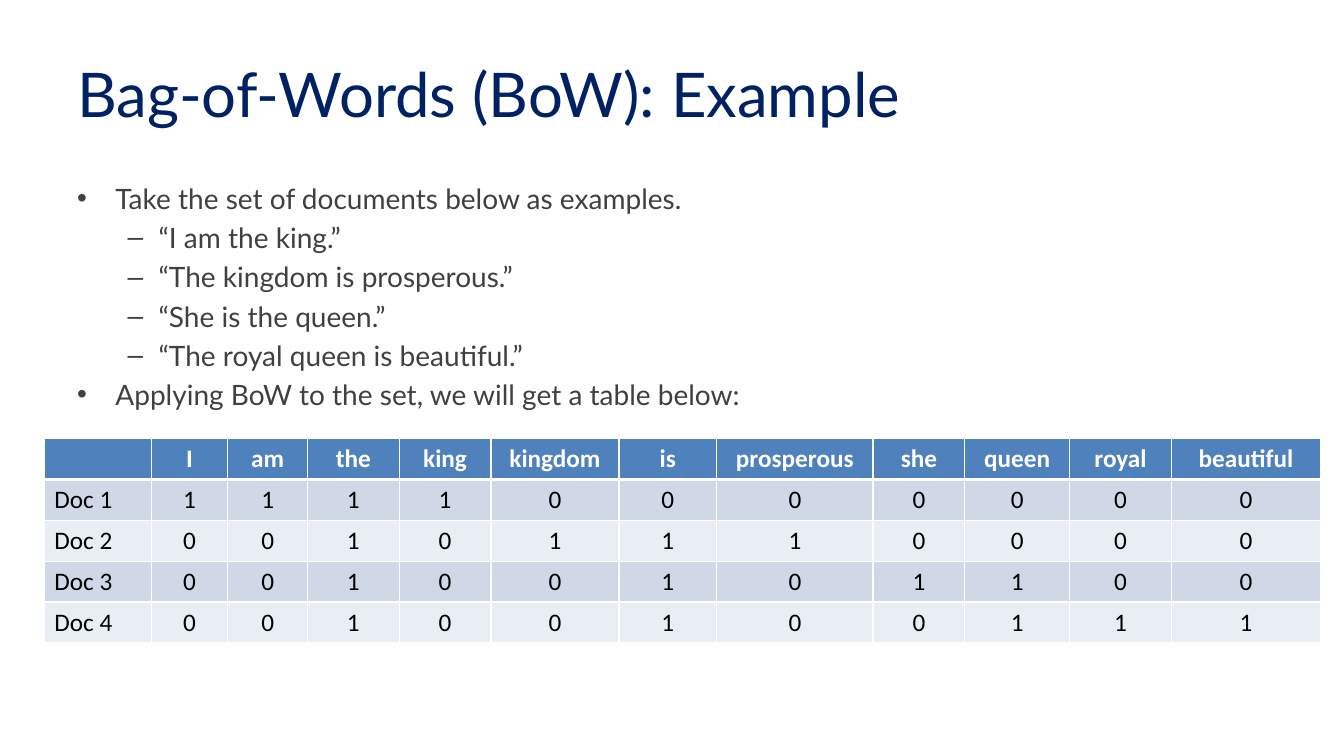
from pptx import Presentation
from pptx.dml.color import RGBColor as RGB
from pptx.enum.text import MSO_ANCHOR as ANCHOR, PP_ALIGN as ALIGN
from pptx.oxml.ns import qn
from pptx.util import Inches, Pt
from lxml.etree import SubElement, Element

UNIT = Inches(1) / 12  # the grid has 160 columns and 90 rows


def grid(n):
    return round(n * UNIT)


def color(value):
    return RGB.from_string(value)


def write(p, text, font="Lato", size=20, fill="404040", bold=False, align=None):
    r = p.add_run()
    r.text = text
    r.font.name, r.font.size, r.font.bold = font, Pt(size), bold
    r.font.color.rgb = color(fill)
    p.alignment = align


class Deck:
    HEADER, BANDS, RULE = "4F81BD", ("E9EDF4", "D0D8E8"), "FFFFFF"
    # mark, left margin and hanging indent in inches for each list level
    LEVELS = (("•", 0.38, 0.38), ("–", 0.81, 0.31))

    def __init__(self):
        self.prs = Presentation()
        self.prs.slide_width, self.prs.slide_height = Inches(13.33), Inches(7.5)
        self.s = self.prs.slides.add_slide(self.prs.slide_layouts[6])

    def box(self, x, y, w, h, anchor=ANCHOR.TOP):
        sp = self.s.shapes.add_textbox(*map(grid, (x, y, w, h)))
        tf = sp.text_frame
        tf.word_wrap, tf.vertical_anchor = True, anchor
        return tf

    def title(self, text, *at):
        tf = self.box(*at, anchor=ANCHOR.MIDDLE)
        write(tf.paragraphs[0], text, size=44, fill="002163")

    def bullets(self, items, *at):
        tf = self.box(*at)
        for i, (level, text) in enumerate(items):
            p = tf.add_paragraph() if i else tf.paragraphs[0]
            p.level, p.space_before = level, Pt(4 if i else 0)
            mark, margin, hang = self.LEVELS[level]
            pPr = p._p.get_or_add_pPr()
            pPr.set("marL", str(Inches(margin)))
            pPr.set("indent", str(-Inches(hang)))
            SubElement(pPr, qn("a:buFont"), typeface="Arial")
            SubElement(pPr, qn("a:buChar"), char=mark)
            write(p, text)

    def borders(self, cell, top=1, bottom=1):
        tcPr = cell._tc.get_or_add_tcPr()
        for i, (side, width) in enumerate(zip("LRTB", (1, 1, top, bottom))):
            ln = Element(qn(f"a:ln{side}"), w=str(Pt(width)))
            fill = SubElement(ln, qn("a:solidFill"))
            SubElement(fill, qn("a:srgbClr"), val=self.RULE)
            tcPr.insert(i, ln)

    def table(self, rows, widths, x, y, row_height):
        at = map(grid, (x, y, sum(widths), row_height * len(rows)))
        tbl = self.s.shapes.add_table(len(rows), len(widths), *at).table
        for col, width in zip(tbl.columns, widths):
            col.width = grid(width)
        for i, row in enumerate(rows):
            tbl.rows[i].height = grid(row_height)
            for j, text in enumerate(row):
                cell = tbl.cell(i, j)
                cell.fill.solid()
                cell.fill.fore_color.rgb = color(self.BANDS[i % 2] if i else self.HEADER)
                self.borders(cell, top=3 if i == 1 else 1, bottom=1 if i else 3)
                if text:
                    write(cell.text_frame.paragraphs[0], text, font="Calibri", size=18,
                          fill="000000" if i else "FFFFFF", bold=i == 0,
                          align=ALIGN.CENTER if j else ALIGN.LEFT)


def words(document):
    return [w if w == "I" else w.lower() for w in document.rstrip(".").split()]


def main():
    deck = Deck()
    documents = ["I am the king.", "The kingdom is prosperous.",
                 "She is the queen.", "The royal queen is beautiful."]

    # Documents as a nested list
    deck.bullets([(0, "Take the set of documents below as examples."),
                  *((1, f"“{d}”") for d in documents),
                  (0, "Applying BoW to the set, we will get a table below:")],
                 8, 21, 129.24, 59.4)

    # Title
    deck.title("Bag-of-Words (BoW): Example", 8, 3.6, 144, 15)

    # Word counts per document
    vocabulary = ["I", "am", "the", "king", "kingdom", "is", "prosperous",
                  "she", "queen", "royal", "beautiful"]
    rows = [["", *vocabulary]]
    for n, d in enumerate(documents, 1):
        rows.append([f"Doc {n}", *(str(words(d).count(w)) for w in vocabulary)])
    widths = [12.72, 9.12, 9.48, 10.92, 10.92, 15.24,
              11.64, 18.6, 10.92, 12.48, 12.12, 17.76]
    deck.table(rows, widths, 5.28, 52.2, 4.87)

    deck.prs.save("out.pptx")


if __name__ == "__main__":
    main()
